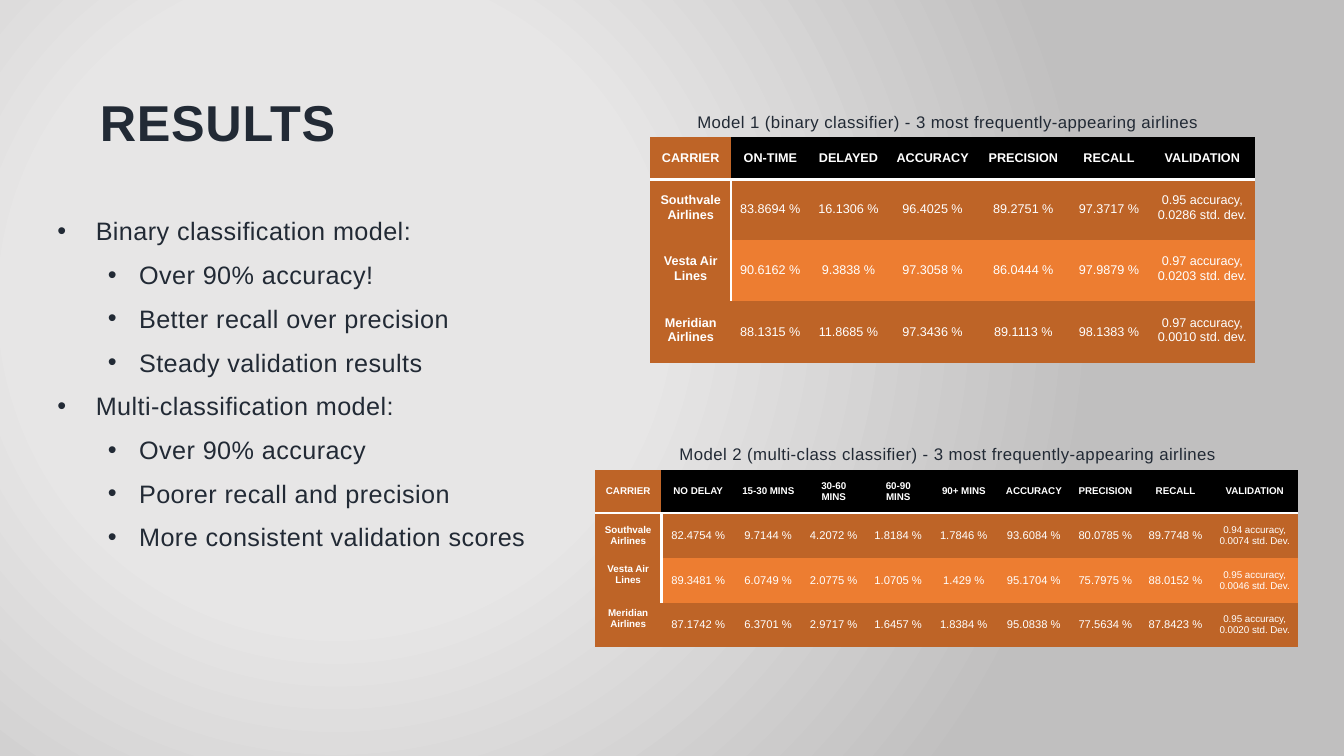
import pptx
import pptx.dml.color
import pptx.enum.text
import pptx.oxml
import pptx.oxml.ns
import pptx.util

Inches, Pt = pptx.util.Inches, pptx.util.Pt
ALIGN, ANCHOR = pptx.enum.text.PP_ALIGN, pptx.enum.text.MSO_ANCHOR
NS = pptx.oxml.ns.nsdecls("a", "p")
NO_STYLE = "{2D5ABB26-0587-4C30-8999-92F81FD0307C}"
COLORS = {"ink": "222A35", "white": "FFFFFF", "header": "000000",
          "rust": "BE6427", "orange": "ED7D31"}


def add_run(paragraph, text, size, color, bold=False, spacing=0):
    run = paragraph.add_run()
    run.text = text
    run.font.name = "Arial"
    run.font.size = Pt(size)
    run.font.bold = bold
    run.font.color.rgb = pptx.dml.color.RGBColor.from_string(COLORS[color])
    if spacing:
        run._r.get_or_add_rPr().set("spc", str(spacing))


def add_border(cell, side):
    cell._tc.get_or_add_tcPr().append(pptx.oxml.parse_xml(
        f'<a:{side} {NS} w="25400"><a:solidFill><a:srgbClr val="{COLORS["white"]}"/>'
        f'</a:solidFill></a:{side}>'))


deck = pptx.Presentation()
deck.slide_width, deck.slide_height = Inches(13.33), Inches(7.5)
slide = deck.slides.add_slide(deck.slide_layouts[1])

# Background: circular grey gradient
stops = "".join(f'<a:gs pos="{pos}000"><a:srgbClr val="{color}"/></a:gs>'
                for pos, color in [(0, "E8E7E7"), (41, "E7E6E6"), (100, "C0BFBF")])
slide._element.cSld.insert(0, pptx.oxml.parse_xml(
    f'<p:bg {NS}><p:bgPr><a:gradFill rotWithShape="1"><a:gsLst>{stops}</a:gsLst>'
    '<a:path path="circle"><a:fillToRect l="50000" t="80000" r="100000" b="100000"/>'
    '</a:path></a:gradFill><a:effectLst/></p:bgPr></p:bg>'))

# Title
title = slide.shapes.title
title.left, title.top, title.width, title.height = map(Inches, (0.89, 0.3, 11.56, 1.25))
title.text_frame.vertical_anchor = ANCHOR.BOTTOM
heading = title.text_frame.paragraphs[0]
heading.alignment = ALIGN.LEFT
add_run(heading, "RESULTS", 36, "ink", bold=True, spacing=50)

# Findings list
findings = slide.placeholders[1]
findings.left, findings.top, findings.width, findings.height = map(
    Inches, (0.47, 2.09, 5.44, 3.83))
findings.text_frame.auto_size = pptx.enum.text.MSO_AUTO_SIZE.NONE
indents = [(0.38, -0.38), (0.81, -0.31)]
points = [
    (0, "Binary classification model:"),
    (1, "Over 90% accuracy!"),
    (1, "Better recall over precision"),
    (1, "Steady validation results"),
    (0, "Multi-classification model:"),
    (1, "Over 90% accuracy"),
    (1, "Poorer recall and precision"),
    (1, "More consistent validation scores"),
]
for number, (level, text) in enumerate(points):
    point = (findings.text_frame.add_paragraph() if number
             else findings.text_frame.paragraphs[0])
    point.level = level
    point.space_after = Pt(6)
    properties = point._p.get_or_add_pPr()
    margin, hanging = indents[level]
    properties.set("marL", str(Inches(margin)))
    properties.set("indent", str(Inches(hanging)))
    properties.append(pptx.oxml.parse_xml(f'<a:buChar {NS} char="•"/>'))
    add_run(point, text, 18, "ink", spacing=30)

# Result tables with captions; a lift is the bottom margin that raises the text
carriers = ["Southvale Airlines", "Vesta Air Lines", "Meridian Airlines"]
models = [
    {
        "caption": "Model 1 (binary classifier) - 3 most frequently-appearing airlines",
        "caption_box": (6.44, 1.03, 5.93, 0.33),
        "left": 6.45, "top": 1.36,
        "widths": [0.8, 0.78, 0.77, 0.9, 0.9, 0.8, 1.05],
        "heights": [0.42, 0.6, 0.61, 0.61],
        "label_size": 9, "value_size": 9,
        "carrier_lifts": [0.04, 0.04, 0.04], "validation_lift": 0.04,
        "header": ["CARRIER", "ON-TIME", "DELAYED", "ACCURACY", "PRECISION", "RECALL",
                   "VALIDATION"],
        "rates": [["83.8694", "16.1306", "96.4025", "89.2751", "97.3717"],
                  ["90.6162", "9.3838", "97.3058", "86.0444", "97.9879"],
                  ["88.1315", "11.8685", "97.3436", "89.1113", "98.1383"]],
        "validation": ["0.95 accuracy, 0.0286 std. dev.",
                       "0.97 accuracy, 0.0203 std. dev.",
                       "0.97 accuracy, 0.0010 std. dev."],
    },
    {
        "caption": "Model 2 (multi-class classifier) - 3 most frequently-appearing airlines",
        "caption_box": (5.92, 4.32, 6.97, 0.33),
        "left": 5.9, "top": 4.66,
        "widths": [0.66, 0.73, 0.66, 0.64, 0.64, 0.66, 0.73, 0.69, 0.7, 0.87],
        "heights": [0.43, 0.45, 0.44, 0.44],
        "label_size": 7, "value_size": 8,
        "carrier_lifts": [0, 0.12, 0.12], "validation_lift": 0,
        "header": ["CARRIER", "NO DELAY", "15-30 MINS", "30-60 MINS", "60-90 MINS",
                   "90+ MINS", "ACCURACY", "PRECISION", "RECALL", "VALIDATION"],
        "rates": [["82.4754", "9.7144", "4.2072", "1.8184", "1.7846", "93.6084",
                   "80.0785", "89.7748"],
                  ["89.3481", "6.0749", "2.0775", "1.0705", "1.429", "95.1704",
                   "75.7975", "88.0152"],
                  ["87.1742", "6.3701", "2.9717", "1.6457", "1.8384", "95.0838",
                   "77.5634", "87.8423"]],
        "validation": ["0.94 accuracy, 0.0074 std. Dev.",
                       "0.95 accuracy, 0.0046 std. Dev.",
                       "0.95 accuracy, 0.0020 std. Dev."],
    },
]
for model in models:
    caption = slide.shapes.add_textbox(*map(Inches, model["caption_box"])).text_frame
    caption.word_wrap = True
    caption.vertical_anchor = ANCHOR.BOTTOM
    caption.paragraphs[0].alignment = ALIGN.CENTER
    add_run(caption.paragraphs[0], model["caption"], 12, "ink", spacing=30)

    rows = [model["header"]]
    for carrier, rates, validation in zip(carriers, model["rates"], model["validation"]):
        rows.append([carrier] + [f"{rate} %" for rate in rates] + [validation])
    last = len(model["header"]) - 1
    results = slide.shapes.add_table(
        len(rows), last + 1, Inches(model["left"]), Inches(model["top"]),
        Inches(sum(model["widths"])), Inches(sum(model["heights"]))).table
    results._tbl.tblPr.find(pptx.oxml.ns.qn("a:tableStyleId")).text = NO_STYLE
    for column, width in zip(results.columns, model["widths"]):
        column.width = Inches(width)
    for row, height in zip(results.rows, model["heights"]):
        row.height = Inches(height)

    for r, texts in enumerate(rows):
        for c, text in enumerate(texts):
            cell = results.cell(r, c)
            if c == 0 and r in (1, 2):
                add_border(cell, "lnR")
            if r == 0:
                add_border(cell, "lnB")
            if c == 0:
                fill = "rust"
            elif r == 0:
                fill = "header"
            else:
                fill = "orange" if r == 2 else "rust"
            cell.fill.solid()
            cell.fill.fore_color.rgb = pptx.dml.color.RGBColor.from_string(COLORS[fill])
            lift = 0
            if r and c == 0:
                lift = model["carrier_lifts"][r - 1]
            elif r and c == last:
                lift = model["validation_lift"]
            cell.margin_left = cell.margin_right = Inches(0.07)
            cell.margin_top, cell.margin_bottom = 0, Inches(lift)
            cell.vertical_anchor = ANCHOR.MIDDLE
            entry = cell.text_frame.paragraphs[0]
            entry.alignment = ALIGN.CENTER
            size = model["value_size"] if r and 0 < c < last else model["label_size"]
            add_run(entry, text, size, "white", bold=r == 0 or c == 0)

deck.save("out.pptx")
